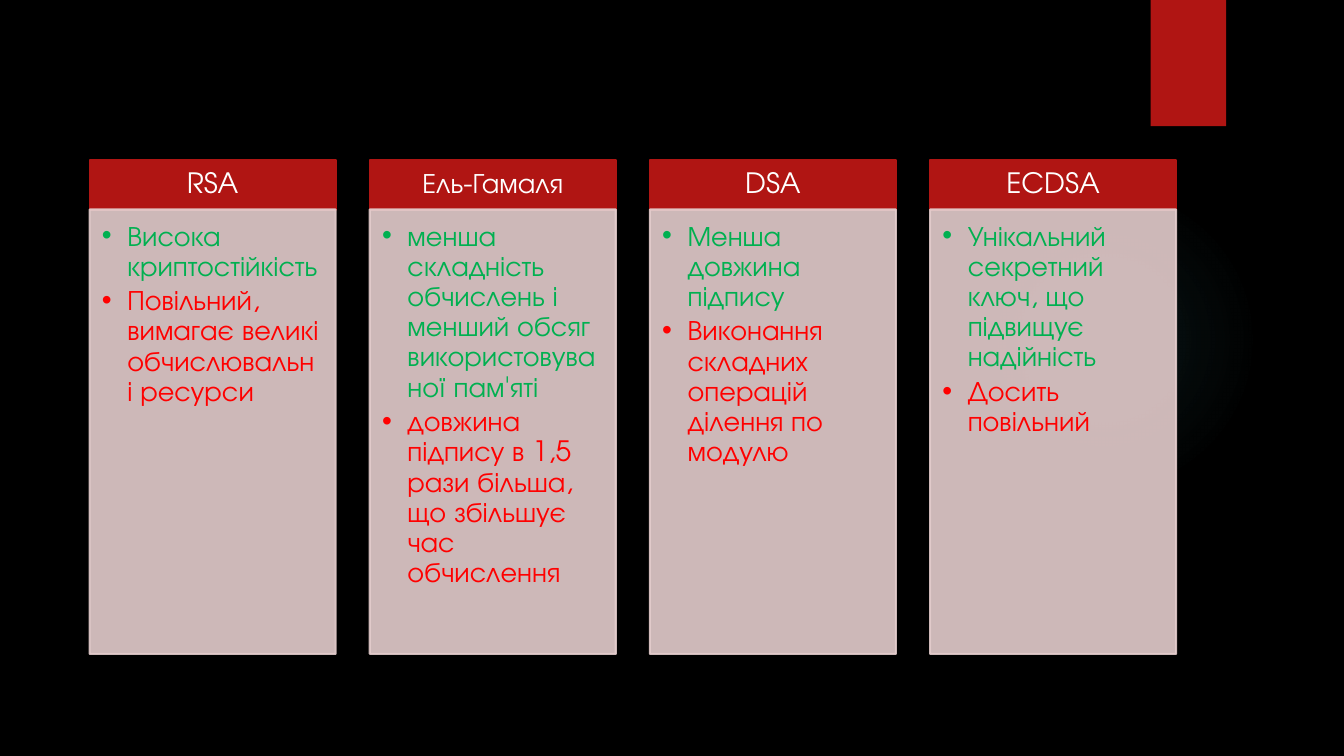
from lxml import etree
from pptx import Presentation
from pptx.dml.color import RGBColor
from pptx.enum import shapes, text
from pptx.oxml import parse_xml
from pptx.oxml.ns import nsdecls, qn
from pptx.util import Cm, Pt

FONT = "TeX Gyre Adventor"
RED, ROSE, GLOW = "B01513", "E4CCCC", "50B9C1"
PRO, CON, WHITE = "00B050", "FF0000", "FFFFFF"

# (algorithm, advantage, drawback)
ALGOS = [
    ("RSA", "Висока криптостійкість",
     "Повільний, вимагає великі обчислювальні ресурси"),
    ("Ель-Гамаля",
     "менша складність обчислень і менший обсяг використовуваної пам'яті",
     "довжина підпису в 1,5 рази більша, що збільшує час обчислення"),
    ("DSA", "Менша довжина підпису",
     "Виконання складних операцій ділення по модулю"),
    ("ECDSA", "Унікальний секретний ключ, що підвищує надійність",
     "Досить повільний"),
]
LEFT, STEP, WIDTH = 2.26, 7.06, 6.2
TOP, HEAD, BODY = 4.04, 1.24, 11.2


def rgb(code):
    """Turn a hex string into a colour."""
    return RGBColor.from_string(code)


def fade(fill, alpha):
    """Set the opacity, in percent, of a solid fill element."""
    etree.SubElement(fill[0], qn("a:alpha"), val=str(alpha * 1000))


def block(box, color, line=False, kind=shapes.MSO_SHAPE.RECTANGLE):
    """Add a flat shape; box is left, top, width, height in cm."""
    shape = slide.shapes.add_shape(kind, *[Cm(n) for n in box])
    shape.shadow.inherit = False
    shape.fill.solid()
    shape.fill.fore_color.rgb = rgb(color)
    if line:
        shape.line.color.rgb = rgb(color)
        shape.line.width = Pt(1.5)
    else:
        shape.line.fill.background()
    return shape


def write(shape, lines, colors, insets, align, after):
    """Fill a shape with one coloured paragraph for each line."""
    frame = shape.text_frame
    frame.text = "\n".join(lines)
    frame.word_wrap = True
    (frame.margin_left, frame.margin_top,
     frame.margin_right, frame.margin_bottom) = [Cm(n) for n in insets]
    for para, color in zip(frame.paragraphs, colors):
        para.alignment = align
        para.line_spacing = 0.9
        para.space_after = Pt(after)
        font = para.runs[0].font
        font.name, font.size = FONT, Pt(20)
        font.color.rgb = rgb(color)


def bullet(para):
    """Give a paragraph a hanging bullet."""
    props = para._p.get_or_add_pPr()
    props.set("marL", str(Cm(0.64)))
    props.set("indent", str(-Cm(0.64)))
    etree.SubElement(props, qn("a:buFont"), typeface="Arial")
    etree.SubElement(props, qn("a:buChar"), char="•")


def glow(box):
    """Add a soft round light that fades outwards."""
    props = block(box, GLOW, kind=shapes.MSO_SHAPE.OVAL)._element.spPr
    stops = "".join(
        f'<a:gs pos="{pos * 1000}"><a:srgbClr val="{GLOW}">'
        f'<a:alpha val="{alpha * 1000}"/></a:srgbClr></a:gs>'
        for pos, alpha in [(0, 7), (36, 6), (69, 0), (100, 0)])
    grad = parse_xml(
        f'<a:gradFill {nsdecls("a")}><a:gsLst>{stops}</a:gsLst>'
        '<a:path path="circle"><a:fillToRect l="50000" t="50000" '
        'r="50000" b="50000"/></a:path></a:gradFill>')
    props.replace(props.find(qn("a:solidFill")), grad)


def column(left, name, pro, con):
    """Draw one algorithm: heading above, list below."""
    head = block((left, TOP, WIDTH, HEAD), RED, line=True)
    write(head, [name], [WHITE], (0.41, 0.23, 0.41, 0.23),
          text.PP_ALIGN.CENTER, 0)
    head.text_frame.vertical_anchor = text.MSO_ANCHOR.MIDDLE
    body = block((left, TOP + HEAD, WIDTH, BODY), ROSE, line=True)
    write(body, [pro, con], [PRO, CON], (0.31, 0.31, 0.41, 0.43),
          text.PP_ALIGN.LEFT, 3)
    body.text_frame.vertical_anchor = text.MSO_ANCHOR.TOP
    for para in body.text_frame.paragraphs:
        bullet(para)
    props = body._element.spPr
    for fill in props.findall(".//" + qn("a:solidFill")):
        fade(fill, 90)


deck = Presentation()
deck.slide_width, deck.slide_height = Cm(33.87), Cm(19.05)
slide = deck.slides.add_slide(deck.slide_layouts[6])
slide.background.fill.solid()
slide.background.fill.fore_color.rgb = rgb("000000")

glow((23.9, 4.65, 7.82, 7.82))
block((29, 0, 1.9, 3.18), RED)
for i, algo in enumerate(ALGOS):
    column(LEFT + i * STEP, *algo)

deck.save("out.pptx")
